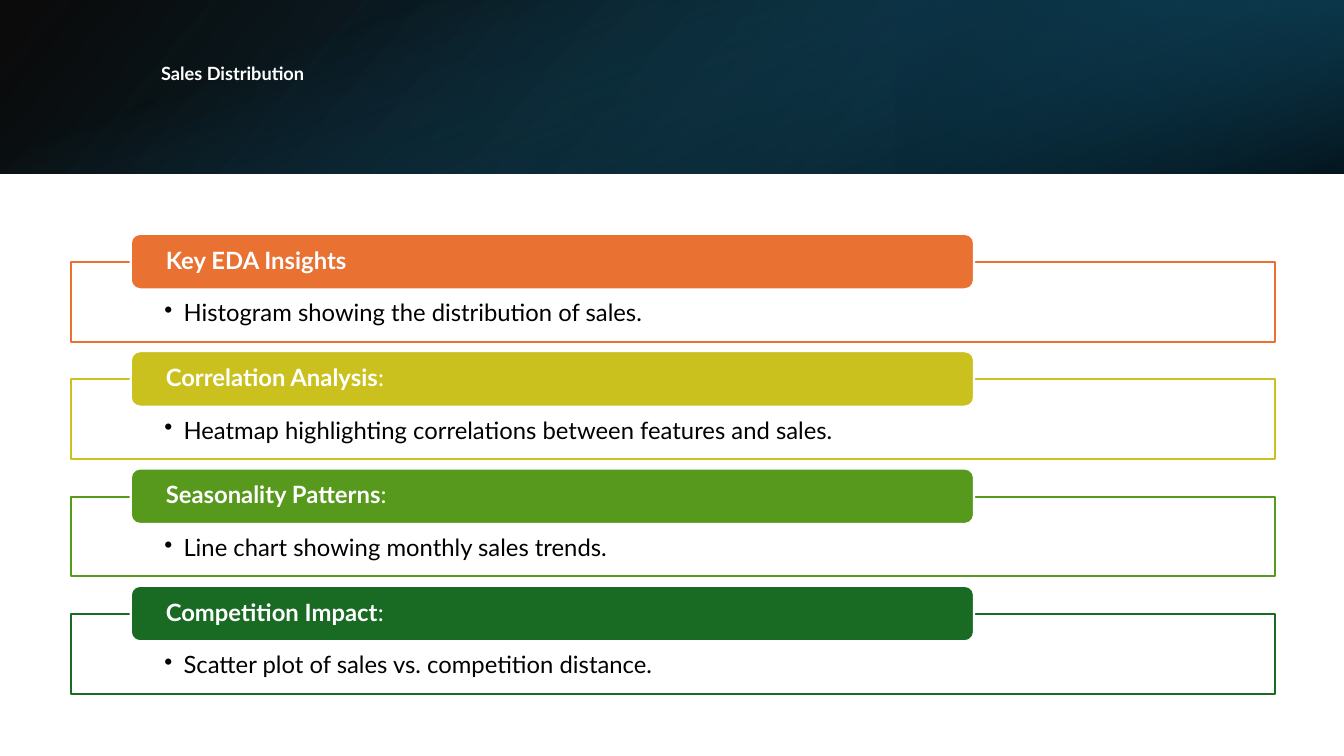
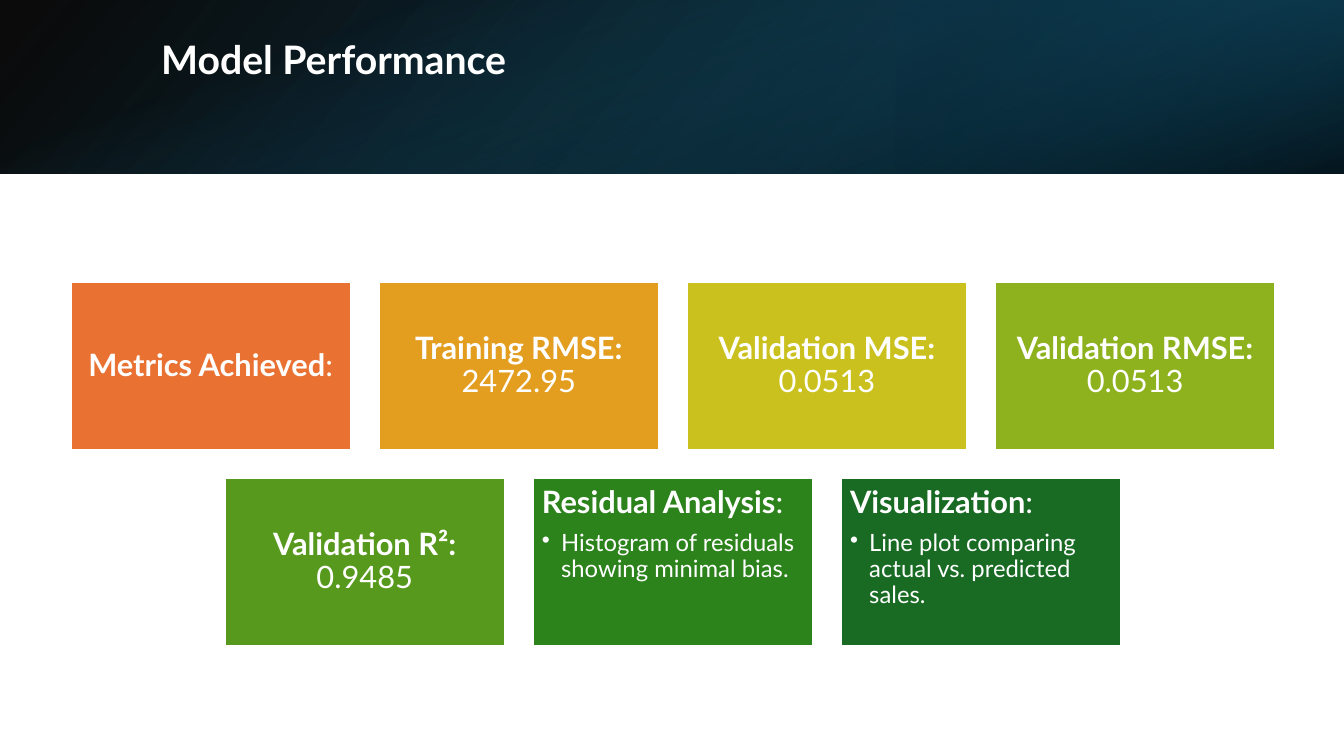
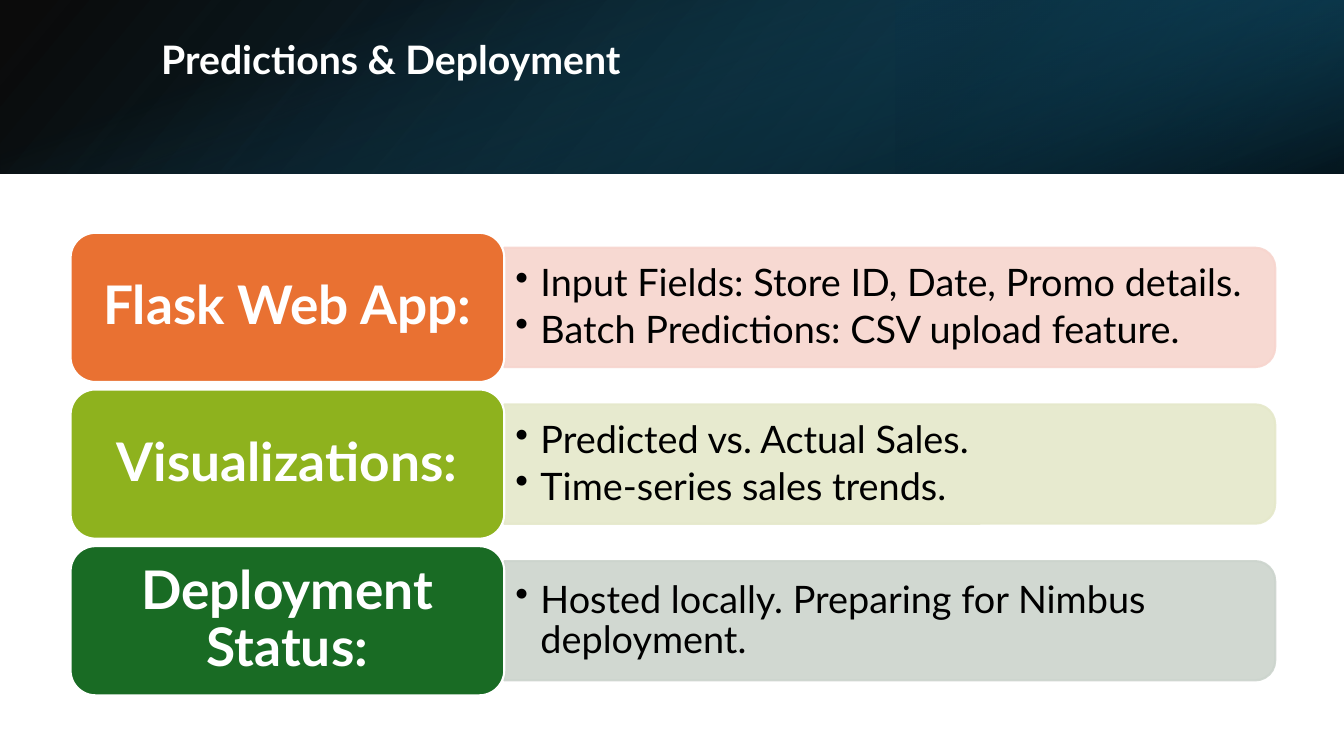
from dataclasses import dataclass

from lxml import etree
from pptx import Presentation
from pptx import util as u
from pptx.dml.color import RGBColor
from pptx.enum import shapes, text
from pptx.oxml import parse_xml
from pptx.oxml.ns import nsdecls, qn


@dataclass(frozen=True)
class Theme:
    font: str = "Lato"
    white: str = "FFFFFF"
    black: str = "000000"
    orange: str = "E97132"
    amber: str = "E39D1F"
    yellow: str = "CBC11E"
    lime: str = "8EB21E"
    leaf: str = "56991D"
    grass: str = "2C821B"
    forest: str = "196B24"
    pale_orange: str = "F7D5CE"
    pale_lime: str = "E5E8CA"
    pale_forest: str = "CCD4CD"
    night: str = "104862"
    navy: str = "0B3041"
    teal: str = "156082"
    line: float = 1.5
    small_title: int = 13
    title: int = 28
    body: int = 17
    tile: int = 22
    detail: int = 27
    label: int = 38


theme = Theme()
WIDTH, HEIGHT = 13.33, 7.5
MARGIN = 0.0525 * WIDTH
CONTENT = 0.8963 * WIDTH
BAND = 0.23 * HEIGHT
Kind = shapes.MSO_SHAPE
Align = text.PP_ALIGN
Anchor = text.MSO_ANCHOR


def add_box(page, kind, left, top, width, height, fill=None, line=None, opacity=100):
    box = page.shapes.add_shape(kind, *map(u.Inches, (left, top, width, height)))
    box.shadow.inherit = False
    if fill:
        box.fill.solid()
        box.fill.fore_color.rgb = RGBColor.from_string(fill)
    else:
        box.fill.background()
    if line:
        box.line.color.rgb = RGBColor.from_string(line)
        box.line.width = u.Pt(theme.line)
    else:
        box.line.fill.background()
    if opacity < 100:
        for color in box._element.spPr.iter(qn("a:srgbClr")):
            etree.SubElement(color, qn("a:alpha")).set("val", str(opacity * 1000))
    return box


def write(box, paragraphs, color, inset, anchor=Anchor.MIDDLE, align=Align.LEFT):
    frame = box.text_frame
    frame.word_wrap = True
    frame.vertical_anchor = anchor
    frame.margin_left = frame.margin_right = u.Inches(inset[0])
    frame.margin_top, frame.margin_bottom = u.Inches(inset[1]), u.Inches(inset[2])
    for index, (spans, size, indent) in enumerate(paragraphs):
        para = frame.add_paragraph() if index else frame.paragraphs[0]
        para.alignment = align
        para.line_spacing = 0.9
        if index < len(paragraphs) - 1:
            para.space_after = u.Pt(round(size * (0.15 if indent else 0.35), 1))
        if indent:
            properties = para._p.get_or_add_pPr()
            properties.set("marL", str(u.Inches(indent)))
            properties.set("indent", str(-u.Inches(indent)))
            etree.SubElement(properties, qn("a:buChar")).set("char", "•")
        for content, bold in spans:
            span = para.add_run()
            span.text = content
            span.font.name = theme.font
            span.font.size = u.Pt(size)
            span.font.bold = bold
            span.font.color.rgb = RGBColor.from_string(color)


deck = Presentation()
deck.slide_width, deck.slide_height = u.Inches(WIDTH), u.Inches(HEIGHT)

band_layers = [
    (0, 0, WIDTH, BAND, 0, True, 140, [(0, theme.black, 96), (100, theme.night, 100)]),
    (WIDTH * 2 / 3, 0, WIDTH / 3, BAND, 180, True, 320,
     [(19, theme.navy, 68), (100, theme.teal, 79)]),
    ((WIDTH - BAND) / 2, (BAND - WIDTH) / 2, BAND, WIDTH, 90, False, 340,
     [(23, theme.teal, 0), (99, theme.black, 74)]),
]
titles = [
    ("Sales Distribution", theme.small_title, 0.74),
    ("Model Performance", theme.title, 0.61),
    ("Predictions & Deployment", theme.title, 0.61),
]
pages = []
for title, size, middle in titles:
    page = deck.slides.add_slide(deck.slide_layouts[6])
    for left, top, width, height, rotation, flipped, angle, stops in band_layers:
        layer = add_box(page, Kind.RECTANGLE, left, top, width, height)
        layer.rotation = rotation
        properties = layer._element.spPr
        if flipped:
            properties.find(qn("a:xfrm")).set("flipH", "1")
        stop_xml = "".join(
            f'<a:gs pos="{place * 1000}"><a:srgbClr val="{color}">'
            f'<a:alpha val="{opacity * 1000}"/></a:srgbClr></a:gs>'
            for place, color, opacity in stops
        )
        gradient = parse_xml(
            f'<a:gradFill {nsdecls("a")}><a:gsLst>{stop_xml}</a:gsLst>'
            f'<a:lin ang="{angle * 60000}" scaled="0"/></a:gradFill>'
        )
        properties.replace(properties.find(qn("a:noFill")), gradient)
    title_height = 0.08 * HEIGHT
    title_box = page.shapes.add_textbox(
        *map(u.Inches, (1.5, middle - title_height / 2, 10.98, title_height))
    )
    write(title_box, [([(title, True)], size, 0)], theme.white, (0.1, 0.05, 0.05))
    pages.append(page)

distribution, performance, deployment = pages

insights = [
    ("Key EDA Insights", "", "Histogram showing the distribution of sales.", theme.orange),
    ("Correlation Analysis", ":",
     "Heatmap highlighting correlations between features and sales.", theme.yellow),
    ("Seasonality Patterns", ":", "Line chart showing monthly sales trends.", theme.leaf),
    ("Competition Impact", ":", "Scatter plot of sales vs. competition distance.",
     theme.forest),
]
for row, (heading, colon, finding, color) in enumerate(insights):
    top = 2.6 + row * 0.1552 * HEIGHT
    frame_box = add_box(distribution, Kind.RECTANGLE, MARGIN, top, CONTENT, 0.79,
                        theme.white, color)
    write(frame_box, [([(finding, False)], theme.body, 0.19)], theme.black,
          (0.93, 0.39, 0.13), Anchor.TOP)
    header = add_box(distribution, Kind.ROUNDED_RECTANGLE, MARGIN + CONTENT * 0.05,
                     top - 0.28, CONTENT * 0.7, 0.55, color, theme.white)
    spans = [(heading, True)] + ([(colon, False)] if colon else [])
    write(header, [(spans, theme.body, 0)], theme.white, (0.32, 0, 0))

tile_rows = [
    [
        ("Metrics Achieved", ":", "", theme.orange),
        ("Training RMSE:", " 2472.95", "", theme.amber),
        ("Validation MSE:", " 0.0513", "", theme.yellow),
        ("Validation RMSE:", " 0.0513", "", theme.lime),
    ],
    [
        ("Validation R²:", " 0.9485", "", theme.leaf),
        ("Residual Analysis", ":", "Histogram of residuals showing minimal bias.",
         theme.grass),
        ("Visualization", ":", "Line plot comparing actual vs. predicted sales.",
         theme.forest),
    ],
]
tile_width = CONTENT / 4.3
tile_height = tile_width * 0.6
tile_gap = tile_width * 0.1
for row, tiles in enumerate(tile_rows):
    row_width = len(tiles) * (tile_width + tile_gap) - tile_gap
    for column, (heading, value, note, color) in enumerate(tiles):
        tile = add_box(
            performance, Kind.RECTANGLE,
            MARGIN + (CONTENT - row_width) / 2 + column * (tile_width + tile_gap),
            2.8 + row * (tile_height + tile_gap),
            tile_width, tile_height, color, theme.white,
        )
        paragraphs = [([(heading, True), (value, False)], theme.tile, 0)]
        if note:
            paragraphs.append(([(note, False)], theme.body, 0.19))
        write(tile, paragraphs, theme.white, (0.09, 0.09, 0.09),
              Anchor.TOP if note else Anchor.MIDDLE,
              Align.LEFT if note else Align.CENTER)

stages = [
    ("Flask Web App:",
     ["Input Fields: Store ID, Date, Promo details.",
      "Batch Predictions: CSV upload feature."],
     theme.orange, theme.pale_orange),
    ("Visualizations:", ["Predicted vs. Actual Sales.", "Time-series sales trends."],
     theme.lime, theme.pale_lime),
    ("Deployment Status:", ["Hosted locally. Preparing for Nimbus deployment."],
     theme.forest, theme.pale_forest),
]
label_width, label_height = CONTENT * 0.36, 1.48
detail_width, detail_height = CONTENT * 0.64, label_height * 0.8
detail_left = MARGIN + label_width
for row, (heading, details, color, pale) in enumerate(stages):
    top = 2.31 + row * label_height * 1.05
    middle = top + label_height / 2
    panel = add_box(
        deployment, Kind.ROUND_2_SAME_RECTANGLE,
        detail_left + (detail_width - detail_height) / 2, middle - detail_width / 2,
        detail_height, detail_width, pale, pale, 90,
    )
    panel.rotation = 90
    detail_box = deployment.shapes.add_textbox(
        *map(u.Inches, (detail_left, middle - 0.53, detail_width - 0.06, 1.07))
    )
    write(detail_box, [([(detail, False)], theme.detail, 0.25) for detail in details],
          theme.black, (0.11, 0.06, 0.06))
    label = add_box(deployment, Kind.ROUNDED_RECTANGLE, MARGIN, top, label_width,
                    label_height, color, theme.white)
    write(label, [([(heading, True)], theme.label, 0)], theme.white,
          (0.16, 0.08, 0.08), align=Align.CENTER)

deck.save("out.pptx")
